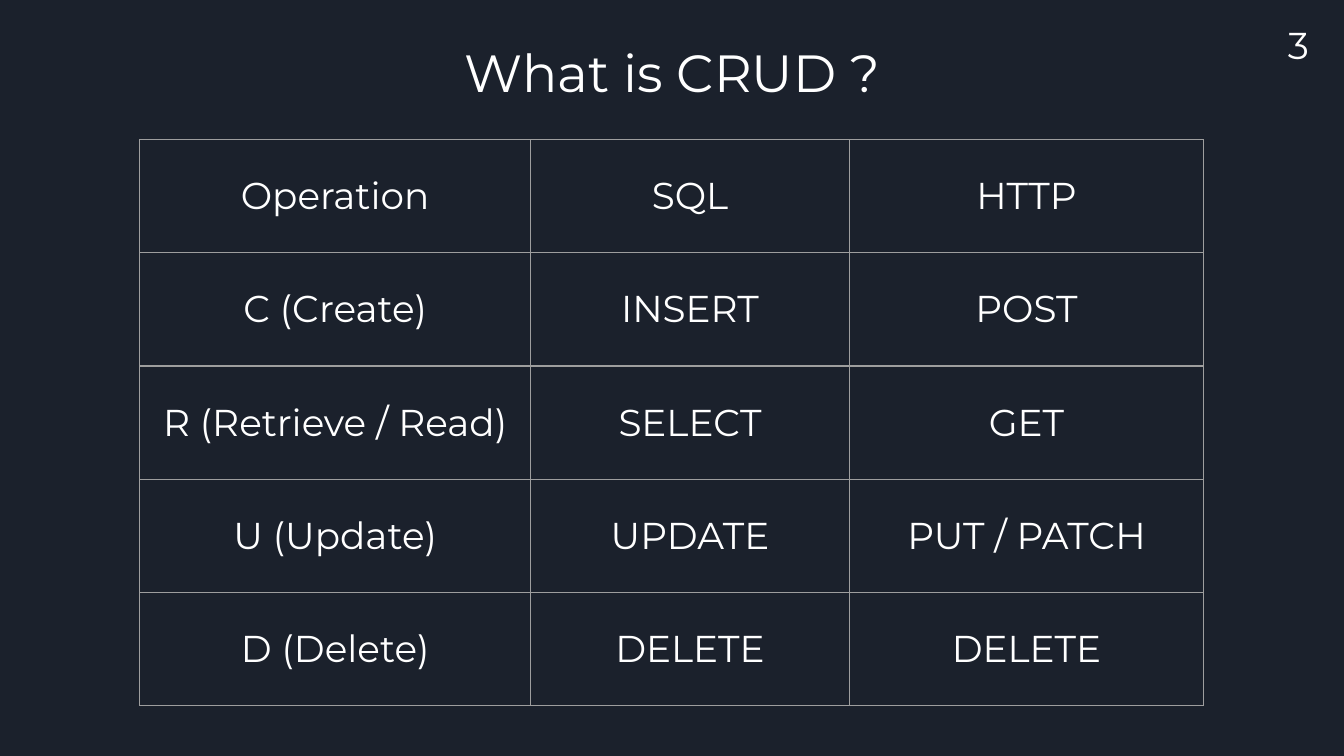
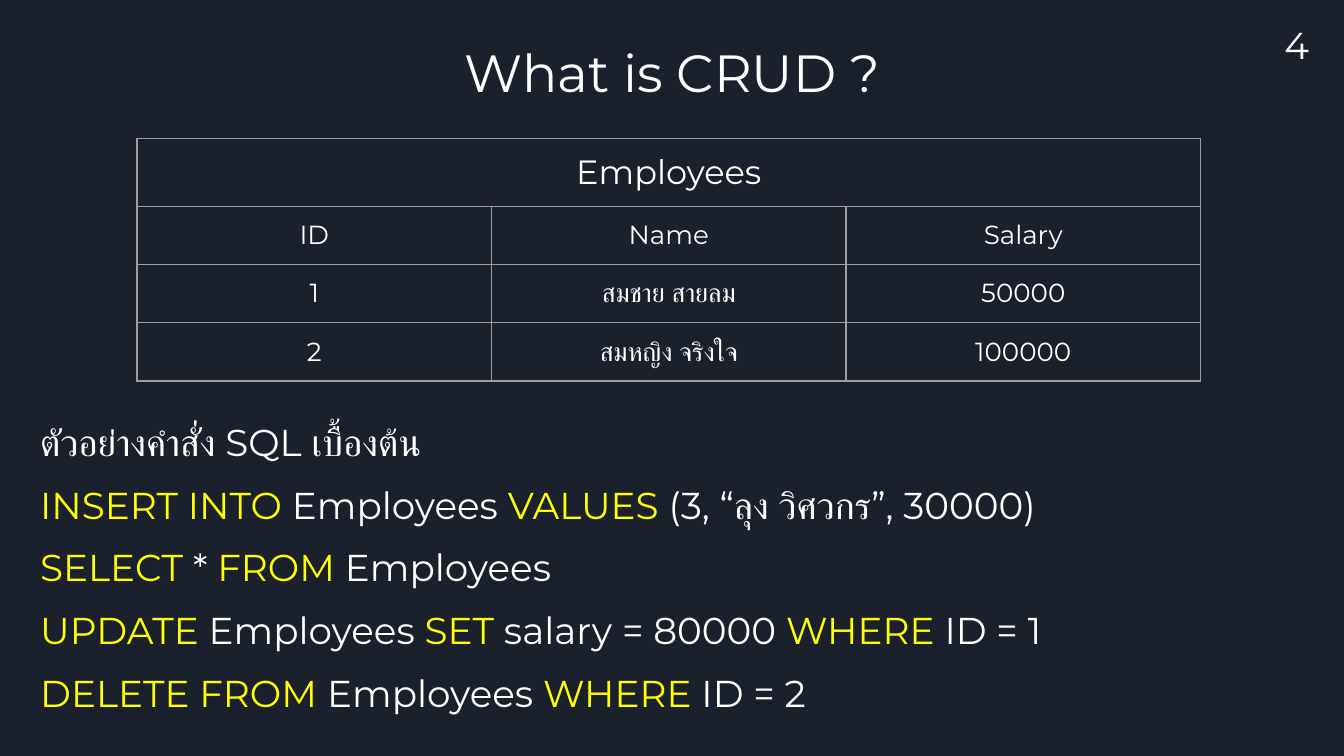
from lxml import etree
from pptx import Presentation
from pptx.dml.color import RGBColor
from pptx.enum.text import MSO_ANCHOR, MSO_AUTO_SIZE, PP_ALIGN
from pptx.oxml.ns import qn
from pptx.util import Cm, Pt

LEFT, CENTER, RIGHT = PP_ALIGN.LEFT, PP_ALIGN.CENTER, PP_ALIGN.RIGHT
TOP, MIDDLE = MSO_ANCHOR.TOP, MSO_ANCHOR.MIDDLE
NO_AUTOFIT = MSO_AUTO_SIZE.NONE

NIGHT = RGBColor(0x1B, 0x21, 0x2C)
WHITE = RGBColor(0xFF, 0xFF, 0xFF)
YELLOW = RGBColor(0xFF, 0xFF, 0x00)
GREY = RGBColor(0x9E, 0x9E, 0x9E)
FONT = "Montserrat"
BORDER_WIDTH = Pt(0.75)
TITLE_ONLY, TITLE_AND_BODY = 5, 1

TITLE = "What is CRUD ?"

OPERATIONS = [
    ("Operation", "SQL", "HTTP"),
    ("C (Create)", "INSERT", "POST"),
    ("R (Retrieve / Read)", "SELECT", "GET"),
    ("U (Update)", "UPDATE", "PUT / PATCH"),
    ("D (Delete)", "DELETE", "DELETE"),
]

EMPLOYEES = [
    ("Employees", "", ""),
    ("ID", "Name", "Salary"),
    ("1", "สมชาย สายลม", "50000"),
    ("2", "สมหญิง จริงใจ", "100000"),
]

# Each line alternates between SQL keywords and plain text.
SQL_LINES = [
    ("", "ตัวอย่างคำสั่ง SQL เบื้องต้น"),
    ("INSERT INTO", " Employees ", "VALUES", " (3, “ลุง วิศวกร”, 30000)"),
    ("SELECT", " * ", "FROM", " Employees"),
    ("UPDATE", " Employees ", "SET", " salary = 80000 ", "WHERE", " ID = 1"),
    ("DELETE FROM ", "Employees ", "WHERE", " ID = 2"),
]


def style_span(span, size, color=WHITE):
    """Format a run, using the same typeface for Latin and Thai."""
    span.font.name = FONT
    span.font.size = Pt(size)
    span.font.color.rgb = color
    thai = etree.SubElement(span.font._element, qn("a:cs"))
    thai.set("typeface", FONT)


def write_line(frame, text, size, align):
    frame.text = text
    para = frame.paragraphs[0]
    para.alignment = align
    for span in para.runs:
        style_span(span, size)
    return para


def place_box(box, left, top, width, height, anchor):
    box.left, box.top, box.width, box.height = map(Cm, (left, top, width, height))
    frame = box.text_frame
    frame.word_wrap = True
    frame.auto_size = NO_AUTOFIT
    frame.vertical_anchor = anchor
    frame.margin_left = frame.margin_right = Cm(0.18)
    frame.margin_top = frame.margin_bottom = Cm(0.1)
    return frame


def add_page(deck, layout, number):
    page = deck.slides.add_slide(deck.slide_layouts[layout])
    frame = place_box(page.shapes.title, 1.75, 0.76, 21.9, 1.35, MIDDLE)
    write_line(frame, TITLE, 28, CENTER).line_spacing = 0.9
    number_box = page.shapes.add_textbox(0, 0, 0, 0)
    frame = place_box(number_box, 19.2, 0.46, 5.72, 0.76, MIDDLE)
    write_line(frame, str(number), 20, RIGHT)
    return page


def outline_cell(cell):
    properties = cell._tc.get_or_add_tcPr()
    for side in ("a:lnL", "a:lnR", "a:lnT", "a:lnB"):
        line = etree.SubElement(properties, qn(side), w=str(BORDER_WIDTH))
        fill = etree.SubElement(line, qn("a:solidFill"))
        etree.SubElement(fill, qn("a:srgbClr"), val=str(GREY))
    cell.fill.background()


def add_grid(page, rows, left, top, widths, row_height, sizes):
    """Add an outlined table; sizes holds one text size per row."""
    table = page.shapes.add_table(
        len(rows), len(widths), Cm(left), Cm(top),
        Cm(sum(widths)), Cm(row_height * len(rows))).table
    table.first_row = table.horz_banding = False
    for column, width in zip(table.columns, widths):
        column.width = Cm(width)
    for r, (texts, size) in enumerate(zip(rows, sizes)):
        table.rows[r].height = Cm(row_height)
        for c, text in enumerate(texts):
            cell = table.cell(r, c)
            outline_cell(cell)
            cell.vertical_anchor = MIDDLE
            cell.margin_left = cell.margin_right = Cm(0.25)
            cell.margin_top = cell.margin_bottom = Cm(0.25)
            write_line(cell.text_frame, text, size, CENTER)
    return table


def remove_bullet(para):
    properties = para._p.get_or_add_pPr()
    properties.set("marL", "0")
    properties.set("indent", "0")
    etree.SubElement(properties, qn("a:buNone"))


def write_sql(frame, lines):
    for i, parts in enumerate(lines):
        para = frame.add_paragraph() if i else frame.paragraphs[0]
        remove_bullet(para)
        para.alignment = LEFT
        para.line_spacing = 0.9
        para.space_before = Pt(12 if i else 0)
        for j, part in enumerate(parts):
            if part:
                span = para.add_run()
                span.text = part
                style_span(span, 20, WHITE if j % 2 else YELLOW)


def main():
    deck = Presentation()
    deck.slide_width, deck.slide_height = Cm(25.4), Cm(14.29)
    background = deck.slide_master.background.fill
    background.solid()
    background.fore_color.rgb = NIGHT

    page = add_page(deck, TITLE_ONLY, 3)
    add_grid(page, OPERATIONS, 2.64, 2.64, (7.39, 6.02, 6.7), 2.14,
             [20] * len(OPERATIONS))

    page = add_page(deck, TITLE_AND_BODY, 4)
    table = add_grid(page, EMPLOYEES, 2.59, 2.62, (6.7, 6.7, 6.7), 1.07,
                     (18, 14, 14, 14))
    table.cell(0, 0).merge(table.cell(0, 2))
    body = page.placeholders[1]
    write_sql(place_box(body, 0.58, 7.92, 24.1, 5.77, TOP), SQL_LINES)

    deck.save("out.pptx")


if __name__ == "__main__":
    main()
